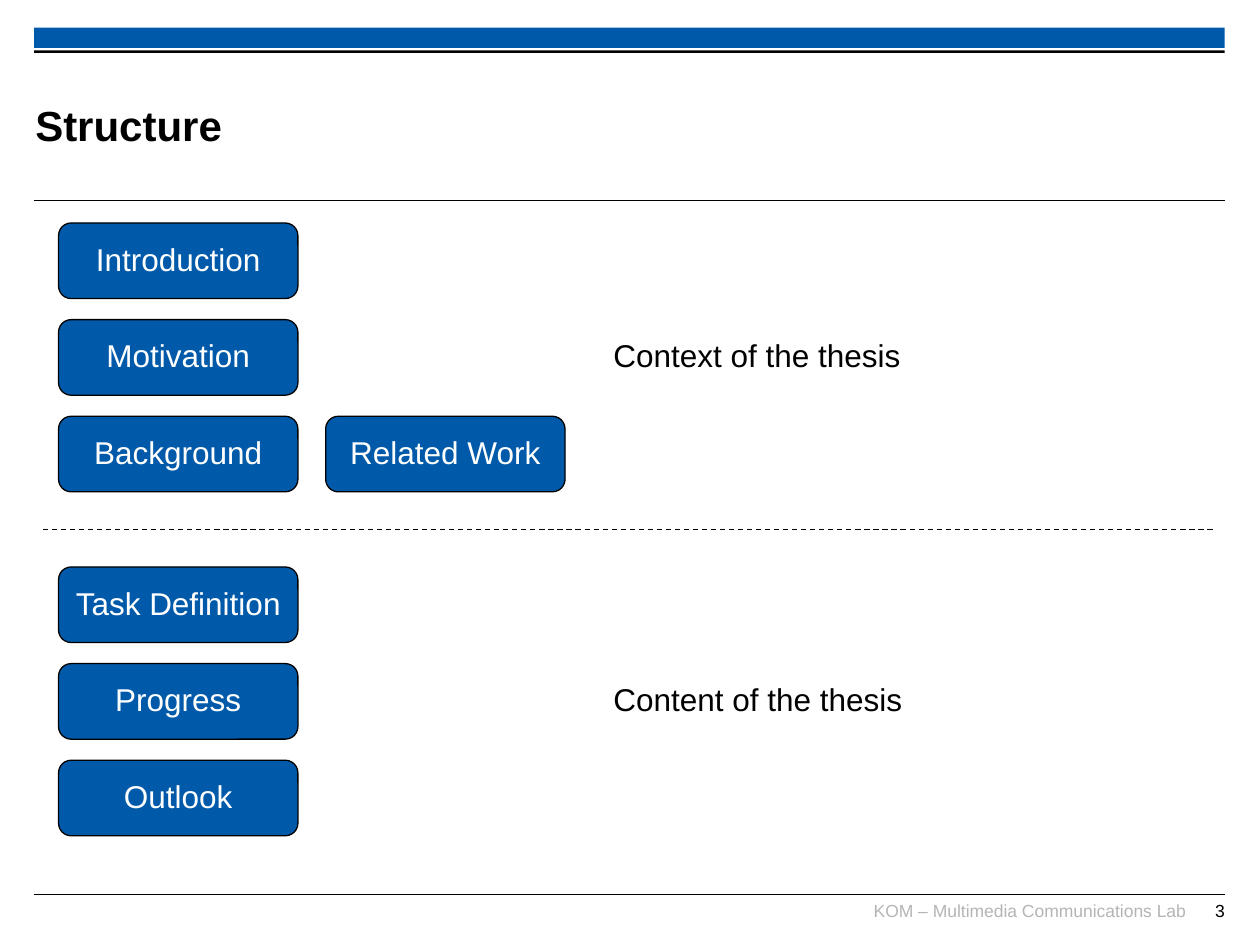
from lxml.etree import SubElement
from pptx import Presentation
from pptx.dml.color import RGBColor
from pptx.enum.dml import MSO_LINE
from pptx.enum.shapes import MSO_CONNECTOR, MSO_SHAPE
from pptx.enum.text import MSO_ANCHOR, PP_ALIGN
from pptx.oxml.ns import qn
from pptx.util import Inches, Pt

FONT = "Arial"
BLUE, BLACK, WHITE, GREY = "005AA9", "000000", "FFFFFF", "B5B5B5"

# Page frame and topic grid, in inches
LEFT, RIGHT = 0.27, 9.72
GRID_LEFT, COLUMN_STEP, ROW_STEP = 0.465, 2.12, 0.767
BOX_WIDTH, BOX_HEIGHT = 1.9, 0.6
CAPTION_LEFT = 4.77

# Each part: top, caption, caption width, rows of topics
PARTS = [
    (1.77, "Context of the thesis", 3.55,
     [["Introduction"], ["Motivation"], ["Background", "Related Work"]]),
    (4.5, "Content of the thesis", 3.67,
     [["Task Definition"], ["Progress"], ["Outlook"]]),
]


def color(hex_code):
    return RGBColor.from_string(hex_code)


def write(frame, text, size, hex_code, align=PP_ALIGN.LEFT, bold=False, spacing=None):
    paragraph = frame.paragraphs[0]
    paragraph.alignment = align
    if spacing:
        paragraph.line_spacing = spacing
    run = paragraph.add_run()
    run.text = text
    run.font.name = FONT
    run.font.size = Pt(size)
    run.font.bold = bold
    run.font.color.rgb = color(hex_code)


def add_block(slide, preset, left, top, width, height, fill, outline=None):
    block = slide.shapes.add_shape(
        preset, Inches(left), Inches(top), Inches(width), Inches(height))
    block.shadow.inherit = False
    block.fill.solid()
    block.fill.fore_color.rgb = color(fill)
    if outline:
        block.line.color.rgb = color(outline)
        block.line.width = Pt(0.75)
    else:
        block.line.fill.background()
    return block


def add_rule(slide, left, right, y, width, dash=None):
    rule = slide.shapes.add_connector(
        MSO_CONNECTOR.STRAIGHT, Inches(left), Inches(y), Inches(right), Inches(y))
    rule.line.color.rgb = color(BLACK)
    rule.line.width = Pt(width)
    if dash:
        rule.line.dash_style = dash
    SubElement(rule._element.spPr, qn("a:effectLst"))


def add_label(slide, left, top, width, height, text, size, hex_code,
              flush=True, anchor=MSO_ANCHOR.TOP, **style):
    label = slide.shapes.add_textbox(
        Inches(left), Inches(top), Inches(width), Inches(height))
    frame = label.text_frame
    frame.word_wrap = True
    frame.vertical_anchor = anchor
    if flush:
        frame.margin_left = frame.margin_right = 0
        frame.margin_top = frame.margin_bottom = 0
    write(frame, text, size, hex_code, **style)


def add_topic(slide, left, top, text):
    topic = add_block(slide, MSO_SHAPE.ROUNDED_RECTANGLE, left, top,
                      BOX_WIDTH, BOX_HEIGHT, BLUE, BLACK)
    topic.text_frame.word_wrap = False
    topic.text_frame.vertical_anchor = MSO_ANCHOR.MIDDLE
    write(topic.text_frame, text, 18, WHITE, PP_ALIGN.CENTER, spacing=0.93)


def add_part(slide, top, caption, caption_width, rows):
    for row, topics in enumerate(rows):
        for column, topic in enumerate(topics):
            add_topic(slide, GRID_LEFT + column * COLUMN_STEP,
                      top + row * ROW_STEP, topic)
    # The caption sits beside the middle row
    add_label(slide, CAPTION_LEFT, top + ROW_STEP + 0.11, caption_width, 0.38,
              caption, 18, BLACK, flush=False, spacing=0.93)


def add_frame(slide):
    # Header band
    add_block(slide, MSO_SHAPE.RECTANGLE, LEFT, 0.22, RIGHT - LEFT, 0.16, BLUE)
    add_block(slide, MSO_SHAPE.RECTANGLE, LEFT, 0.4, RIGHT - LEFT, 0.02, BLACK)
    # Rules under the title and above the footer
    for y in (1.59, 7.1):
        add_rule(slide, LEFT, RIGHT, y, 0.6)
    # Footer
    add_label(slide, 6.81, 7.14, 2.6, 0.25, "KOM – Multimedia Communications Lab",
              10, GREY, align=PP_ALIGN.RIGHT)
    add_label(slide, 9.29, 7.14, 0.43, 0.24, "3", 10, BLACK, align=PP_ALIGN.RIGHT)


def main():
    deck = Presentation()
    deck.slide_width, deck.slide_height = Inches(10), Inches(7.5)
    slide = deck.slides.add_slide(deck.slide_layouts[6])

    add_frame(slide)
    add_label(slide, 0.28, 0.53, 7.52, 0.92, "Structure", 24, BLACK,
              anchor=MSO_ANCHOR.MIDDLE, bold=True)

    # Two parts, split by a dashed rule
    for part in PARTS:
        add_part(slide, *part)
    add_rule(slide, 0.34, 9.63, 4.2, 0.75, MSO_LINE.DASH)

    deck.save("out.pptx")


if __name__ == "__main__":
    main()
